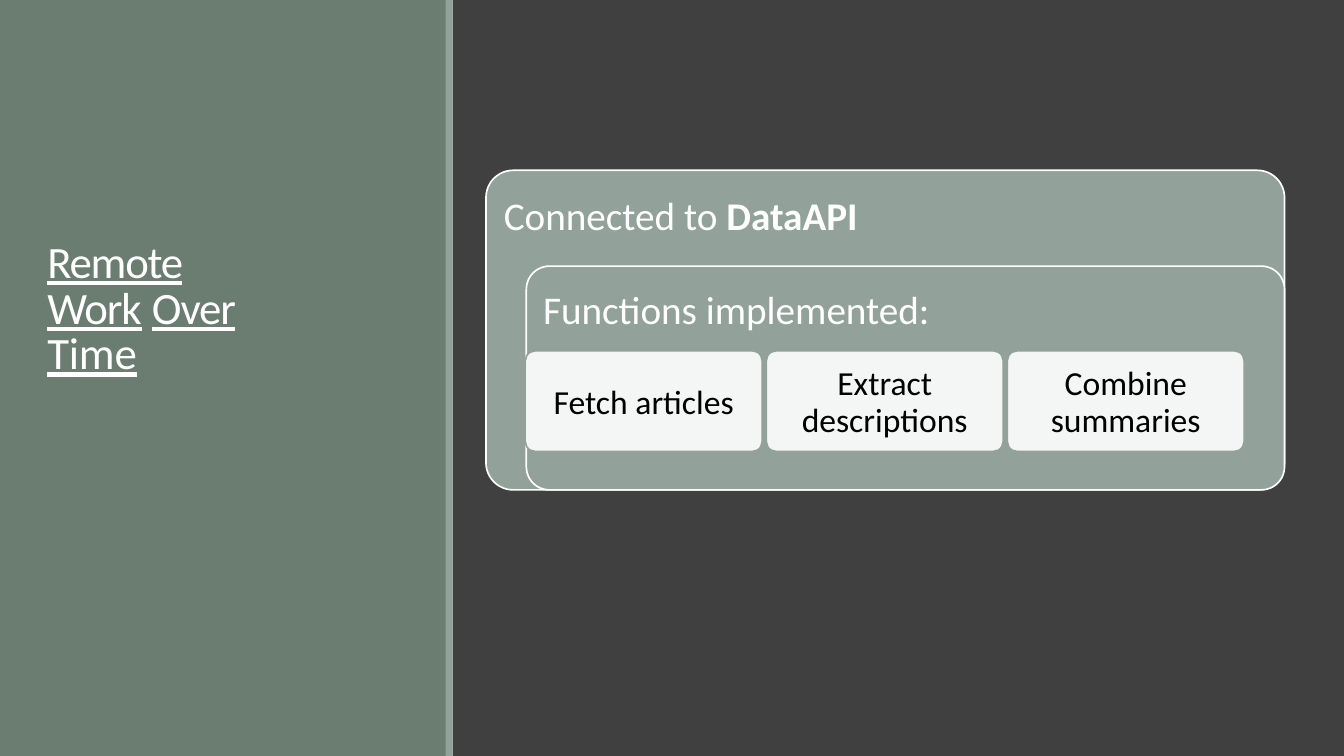
"""Build a slide with a title band and nested panels holding three function cards."""
import pptx
import pptx.dml.color
import pptx.enum.shapes
import pptx.enum.text
import pptx.oxml.ns
import pptx.util
from lxml import etree

PX = 9144
SAGE, WHITE = "92A199", "FFFFFF"
KIND = pptx.enum.shapes.MSO_SHAPE
ALIGN = pptx.enum.text.PP_ALIGN
ANCHOR = pptx.enum.text.MSO_ANCHOR
Pt = pptx.util.Pt


def paint(target, color):
    """Give a fill or font its colour."""
    if hasattr(target, "solid"):
        target.solid()
        target.fore_color.rgb = pptx.dml.color.RGBColor.from_string(color)
    else:
        target.color.rgb = pptx.dml.color.RGBColor.from_string(color)


def block(kind, box, fill, edge=None, curve=0):
    """Add a filled shape with an optional outline and corner radius."""
    shape = slide.shapes.add_shape(kind, *(n * PX for n in box))
    shape.shadow.inherit = False
    paint(shape.fill, fill)
    if edge:
        paint(shape.line, edge)
        shape.line.width = Pt(1.2)
        shape.adjustments[0] = curve / box[3]
    else:
        shape.line.fill.background()
    return shape


deck = pptx.Presentation()
deck.slide_width, deck.slide_height = 1333 * PX, 750 * PX
slide = deck.slides.add_slide(deck.slide_layouts[5])

for left, width, color in [(449, 884, "404040"), (0, 443, "6B7C71"), (442, 7, SAGE)]:
    band = block(KIND.RECTANGLE, (left, 0, width, 750), color)

title = slide.shapes.title
band.element.addnext(title.element)
title.left, title.top, title.width, title.height = (n * PX for n in (46, 230, 237, 150))
frame = title.text_frame
frame.word_wrap = True
frame.auto_size = pptx.enum.text.MSO_AUTO_SIZE.NONE
frame.vertical_anchor = ANCHOR.TOP
frame.margin_left, frame.margin_top = PX, 10 * PX
frame.margin_right, frame.margin_bottom = 6 * PX, 0
para = frame.paragraphs[0]
para.alignment = ALIGN.LEFT
para.line_spacing, para.space_before = Pt(32.6), Pt(6.8)
para.font.name, para.font.size = "Calibri", Pt(32)
paint(para.font, WHITE)
words = [("Remote ", True, -90), ("Work", True, -80), (" ", False, -80),
         ("Over ", True, -80), ("Time", True, -20)]
for text, under, gap in words:
    run = para.add_run()
    run.text = text
    run.font.underline = under
    run.font._element.set("spc", str(gap))

panels = [((482, 169, 792, 317), 27, 13, [("Connected to ", False), ("DataAPI", True)]),
          ((522, 264, 752, 222), 23, 12, [("Functions implemented:", False)])]
for box, curve, inset, parts in panels:
    panel = block(KIND.ROUNDED_RECTANGLE, box, SAGE, WHITE, curve)
    frame = panel.text_frame
    frame.word_wrap = True
    frame.vertical_anchor = ANCHOR.TOP
    frame.margin_left, frame.margin_top = 10 * PX, inset * PX
    para = frame.paragraphs[0]
    para.alignment = ALIGN.LEFT
    para.space_before = Pt(1.1)
    para.font.name, para.font.size = "Calibri", Pt(28)
    paint(para.font, WHITE)
    for text, bold in parts:
        run = para.add_run()
        run.text = text
        run.font.bold = bold

for i, text in enumerate(["Fetch articles", "Extract descriptions", "Combine summaries"]):
    card = block(KIND.ROUNDED_RECTANGLE, (521 + 239 * i, 348, 235, 100), WHITE, SAGE, 10)
    tint = card.fill._xPr.find(".//" + pptx.oxml.ns.qn("a:srgbClr"))
    etree.SubElement(tint, pptx.oxml.ns.qn("a:alpha"), val="90000")
    frame = card.text_frame
    frame.word_wrap = True
    frame.vertical_anchor = ANCHOR.MIDDLE
    frame.margin_top, frame.margin_bottom = 3 * PX, 0
    para = frame.paragraphs[0]
    para.text = text
    para.alignment = ALIGN.CENTER
    para.line_spacing = Pt(26.4)
    para.font.name, para.font.size = "Calibri", Pt(24)
    paint(para.font, "000000")

deck.save("out.pptx")
